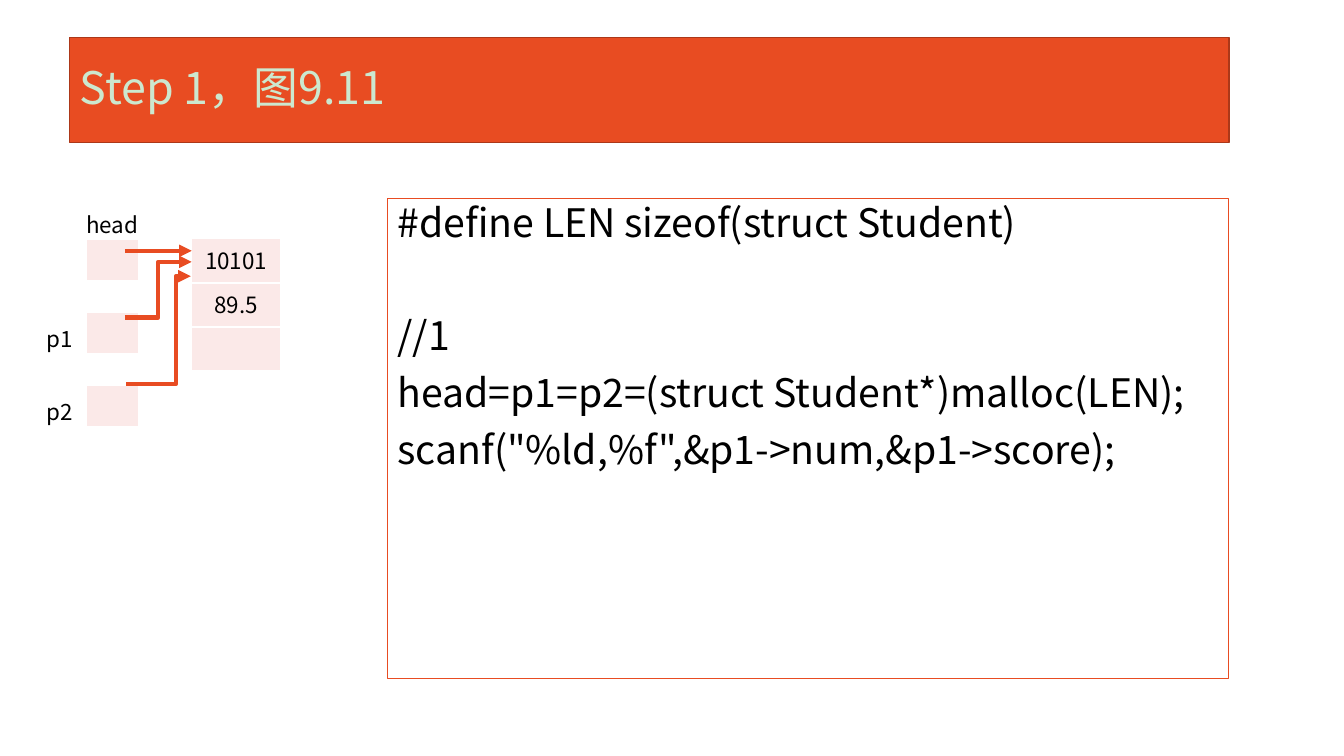
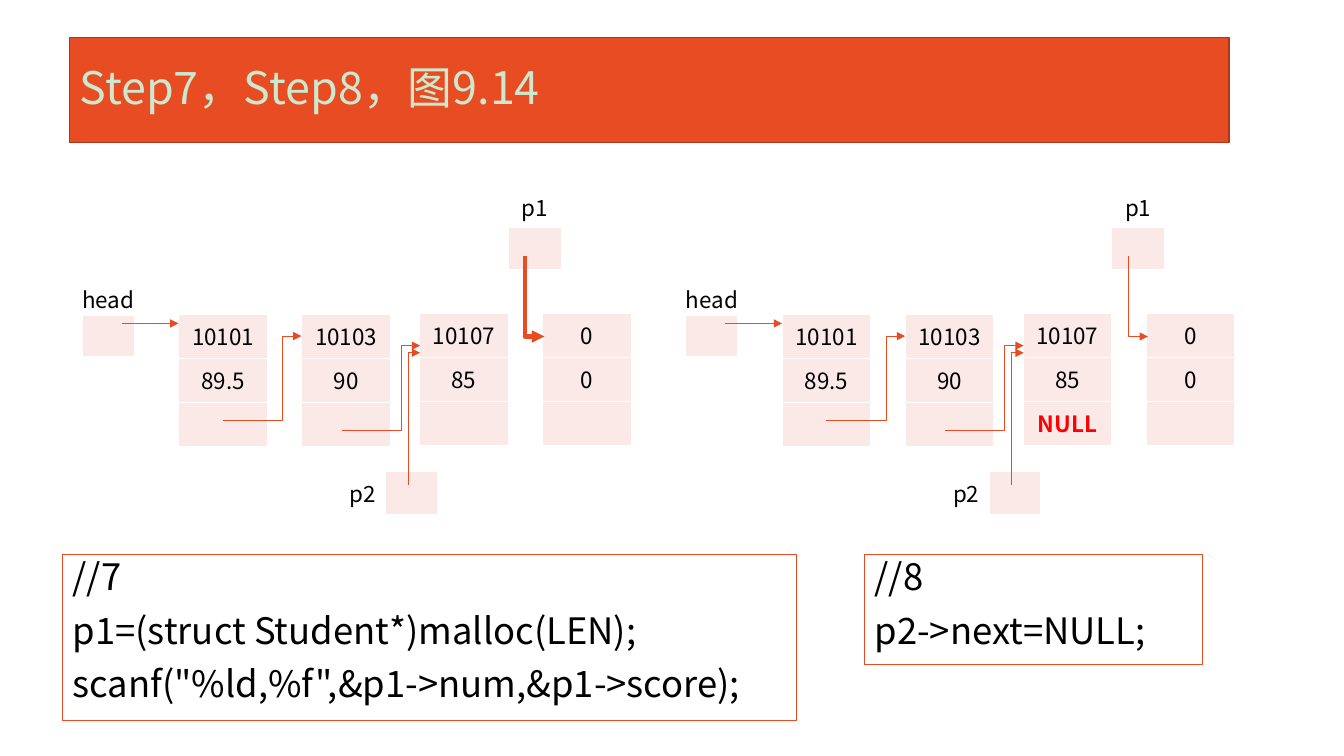
"""Build two slides that show the steps of making a linked list."""
from dataclasses import dataclass, replace
from typing import Optional

from lxml import etree
from pptx import Presentation
from pptx.dml.color import RGBColor
from pptx.enum.shapes import MSO_CONNECTOR
from pptx.enum.text import MSO_ANCHOR, MSO_AUTO_SIZE, PP_ALIGN
from pptx.oxml.ns import qn
from pptx.slide import Slide
from pptx.util import Cm, Pt

LEFT, CENTER, RIGHT = PP_ALIGN.LEFT, PP_ALIGN.CENTER, PP_ALIGN.RIGHT
TOP, MIDDLE, BOTTOM = MSO_ANCHOR.TOP, MSO_ANCHOR.MIDDLE, MSO_ANCHOR.BOTTOM
STRAIGHT, ELBOW = MSO_CONNECTOR.STRAIGHT, MSO_CONNECTOR.ELBOW
NO_FIT = MSO_AUTO_SIZE.NONE

ORANGE = RGBColor(0xE8, 0x4C, 0x22)
RUST = RGBColor(0xAC, 0x38, 0x19)
MINT = RGBColor(0xCC, 0xE8, 0xCF)
PINK = RGBColor(0xFB, 0xE9, 0xE8)
RED = RGBColor(0xFF, 0x00, 0x00)
BLACK = RGBColor(0x00, 0x00, 0x00)
WHITE = RGBColor(0xFF, 0xFF, 0xFF)
FONT = "Noto Sans CJK SC"

THIN, THICK = 0.5, 3
ROW = 1.04
GAP = 0.8
RACK = [ROW, ROW, GAP, ROW, GAP, ROW]
NODE_W, NODE_H = 2.24, 1.11
STEP = 15.21


@dataclass
class Cell:
    """One table cell with its text, fill and insets in centimetres."""
    text: str = ""
    fill: bool = False
    color: RGBColor = BLACK
    bold: bool = False
    align: PP_ALIGN = CENTER
    anchor: MSO_ANCHOR = BOTTOM
    right: float = 0
    top: float = 0
    base: float = 0


@dataclass
class Wire:
    """An arrow from one point to another, bent at a share of its width."""
    x1: float
    y1: float
    x2: float
    y2: float
    bend: Optional[float] = None
    width: float = THIN


@dataclass
class Node:
    """A list node with its number, score and link."""
    x: float
    y: float
    num: str
    score: str
    link: str = ""


BOX = Cell(fill=True)
BLANK = Cell()
NODES = (
    Node(4.5, 7.92, "10101", "89.5"),
    Node(7.6, 7.92, "10103", "90"),
    Node(10.57, 7.9, "10107", "85"),
    Node(13.67, 7.9, "0", "0"),
)
WIRES = (
    Wire(3.07, 8.15, 4.5, 8.15),
    Wire(5.61, 10.59, 7.6, 8.47, 0.76),
    Wire(8.61, 10.85, 10.59, 8.71, 0.76),
    Wire(10.29, 12.22, 10.59, 8.89, 0),
)


def write(para, text: str, *, size: float, color: RGBColor = BLACK,
          bold: bool = False, align: PP_ALIGN = LEFT, line=None,
          before: float = 0) -> None:
    """Put formatted text into a paragraph."""
    para.alignment = align
    if line is not None:
        para.line_spacing = line
    para.space_before = Pt(before)
    run = para.add_run()
    run.text = text
    run.font.name = FONT
    run.font.size = Pt(size)
    run.font.bold = bold
    run.font.color.rgb = color
    props = run.font._element
    etree.SubElement(props, qn("a:ea")).set("typeface", FONT)


def page(deck, text: str) -> Slide:
    """Add a slide with the title band."""
    slide = deck.slides.add_slide(deck.slide_layouts[5])
    slide.background.fill.solid()
    slide.background.fill.fore_color.rgb = WHITE
    band = slide.shapes.title
    band.left, band.top = Cm(1.75), Cm(0.95)
    band.width, band.height = Cm(29.22), Cm(2.64)
    band.fill.solid()
    band.fill.fore_color.rgb = ORANGE
    band.line.color.rgb = RUST
    band.line.width = Pt(1)
    frame = band.text_frame
    frame.auto_size = NO_FIT
    frame.vertical_anchor = MIDDLE
    write(frame.paragraphs[0], text, size=32, color=MINT, line=0.9)
    return slide


def grid(slide: Slide, x: float, y: float, cols: list[float],
         rows: list[float], cells: list[list[Cell]]) -> None:
    """Draw a table from rows of cells."""
    table = slide.shapes.add_table(
        len(rows), len(cols), Cm(x), Cm(y), Cm(sum(cols)), Cm(sum(rows))).table
    table.first_row = table.horz_banding = False
    for col, width in zip(table.columns, cols):
        col.width = Cm(width)
    for i, high in enumerate(rows):
        table.rows[i].height = Cm(high)
        for j, item in enumerate(cells[i]):
            cell = table.cell(i, j)
            cell.margin_left = 0
            cell.margin_right = Cm(item.right)
            cell.margin_top, cell.margin_bottom = Cm(item.top), Cm(item.base)
            cell.vertical_anchor = item.anchor
            if item.fill:
                cell.fill.solid()
                cell.fill.fore_color.rgb = PINK
            else:
                cell.fill.background()
            para = cell.text_frame.paragraphs[0]
            if item.text:
                write(para, item.text, size=16, color=item.color,
                      bold=item.bold, align=item.align)
            else:
                end = etree.SubElement(para._p, qn("a:endParaRPr"))
                end.set("sz", "800")


def block(slide: Slide, node: Node, dx: float = 0, spare: int = 0) -> None:
    """Draw a list node as a column of three cells, with spare columns."""
    cell = Cell(fill=True, anchor=TOP, top=0.13, base=0.13)
    column = [replace(cell, text=node.num), replace(cell, text=node.score),
              replace(cell, text=node.link, color=RED, bold=True)]
    grid(slide, node.x + dx, node.y, [NODE_W] * (1 + spare), [NODE_H] * 3,
         [[item] + [BLANK] * spare for item in column])


def arrow(slide: Slide, wire: Wire, dx: float = 0) -> None:
    """Draw a straight or bent arrow."""
    x1, x2 = Cm(wire.x1 + dx), Cm(wire.x2 + dx)
    y1, y2 = Cm(wire.y1), Cm(wire.y2)
    if wire.bend in (None, 0.5):
        kind = STRAIGHT if wire.bend is None else ELBOW
        shape = slide.shapes.add_connector(kind, x1, y1, x2, y2)
    else:
        mid = x1 + round((x2 - x1) * wire.bend)
        pen = slide.shapes.build_freeform(x1, y1)
        turns = [(mid, y1)] if mid != x1 else []
        pen.add_line_segments(turns + [(mid, y2), (x2, y2)], close=False)
        shape = pen.convert_to_shape()
        shape.fill.background()
    shape.line.color.rgb = ORANGE
    shape.line.width = Pt(wire.width)
    props = shape._element.spPr
    tail = etree.SubElement(props.find(qn("a:ln")), qn("a:tailEnd"))
    tail.set("type", "triangle")
    etree.SubElement(props, qn("a:effectLst"))


def code(slide: Slide, x: float, y: float, w: float, h: float,
         lines: list[str], size: float, skip: int = 0) -> None:
    """Draw a framed code box, with a line's gap before the line at skip."""
    box = slide.shapes.add_textbox(Cm(x), Cm(y), Cm(w), Cm(h))
    box.line.color.rgb = ORANGE
    box.line.width = Pt(0.75)
    frame = box.text_frame
    frame.word_wrap = True
    frame.auto_size = NO_FIT
    for i, text in enumerate(lines):
        para = frame.add_paragraph() if i else frame.paragraphs[0]
        before = 10.5 if i else 0
        if i and i == skip:
            before = 50.9
        write(para, text, size=size, line=Pt(round(size * 1.175 - 2.9, 1)),
              before=before)


def chain(slide: Slide, dx: float, width: float, link: str) -> None:
    """Draw the list of four nodes and its three pointers."""
    for node in NODES:
        last = link if node.num == "10107" else ""
        block(slide, replace(node, link=last), dx)
    grid(slide, 2.07 + dx, 6.9, [1.32], RACK,
         [[Cell("head")], [BOX]] + [[BLANK]] * 4)
    grid(slide, 12.8 + dx, 4.68, [1.35], [1.06] * 2,
         [[Cell("p1", base=0.13)], [BOX]])
    grid(slide, 8.32 + dx, 11.89, [1.4, 1.3], [1.07],
         [[Cell("p2", align=RIGHT, anchor=MIDDLE, right=0.25), BOX]])
    for wire in (*WIRES, Wire(13.23, 6.45, 13.72, 8.48, 0, width)):
        arrow(slide, wire, dx)


def first(deck) -> None:
    """Build the slide for step 1."""
    slide = page(deck, "Step 1，图9.11")
    gap = [BLANK, BLANK]
    grid(slide, 0.85, 5, [1.32, 1.32], RACK,
         [[BLANK, Cell("head")], [BLANK, BOX], gap,
          [Cell("p1"), BOX], gap, [Cell("p2"), BOX]])
    block(slide, Node(4.83, 6.02, "10101", "89.5"), spare=1)
    for wire in (Wire(3.15, 6.32, 4.83, 6.32, None, THICK),
                 Wire(3.15, 8, 4.83, 6.6, 0.5, THICK),
                 Wire(3.18, 9.68, 4.81, 6.96, 0.77, THICK)):
        arrow(slide, wire)
    code(slide, 9.77, 5, 21.2, 12.09, [
        "#define LEN sizeof(struct Student)",
        "//1",
        "head=p1=p2=(struct Student*)malloc(LEN);",
        'scanf("%ld,%f",&p1->num,&p1->score);',
    ], 28, skip=1)


def second(deck) -> None:
    """Build the slide for steps 7 and 8."""
    slide = page(deck, "Step7，Step8，图9.14")
    chain(slide, 0, THICK, "")
    chain(slide, STEP, THIN, "NULL")
    code(slide, 1.58, 13.97, 18.5, 4.19, [
        "//7",
        "p1=(struct Student*)malloc(LEN);",
        'scanf("%ld,%f",&p1->num,&p1->score);',
    ], 26)
    code(slide, 21.79, 13.97, 8.51, 2.77, ["//8", "p2->next=NULL;"], 26)


def main() -> None:
    """Build and save the deck."""
    deck = Presentation()
    deck.slide_width, deck.slide_height = Cm(33.87), Cm(19.05)
    first(deck)
    second(deck)
    deck.save("out.pptx")


if __name__ == "__main__":
    main()
